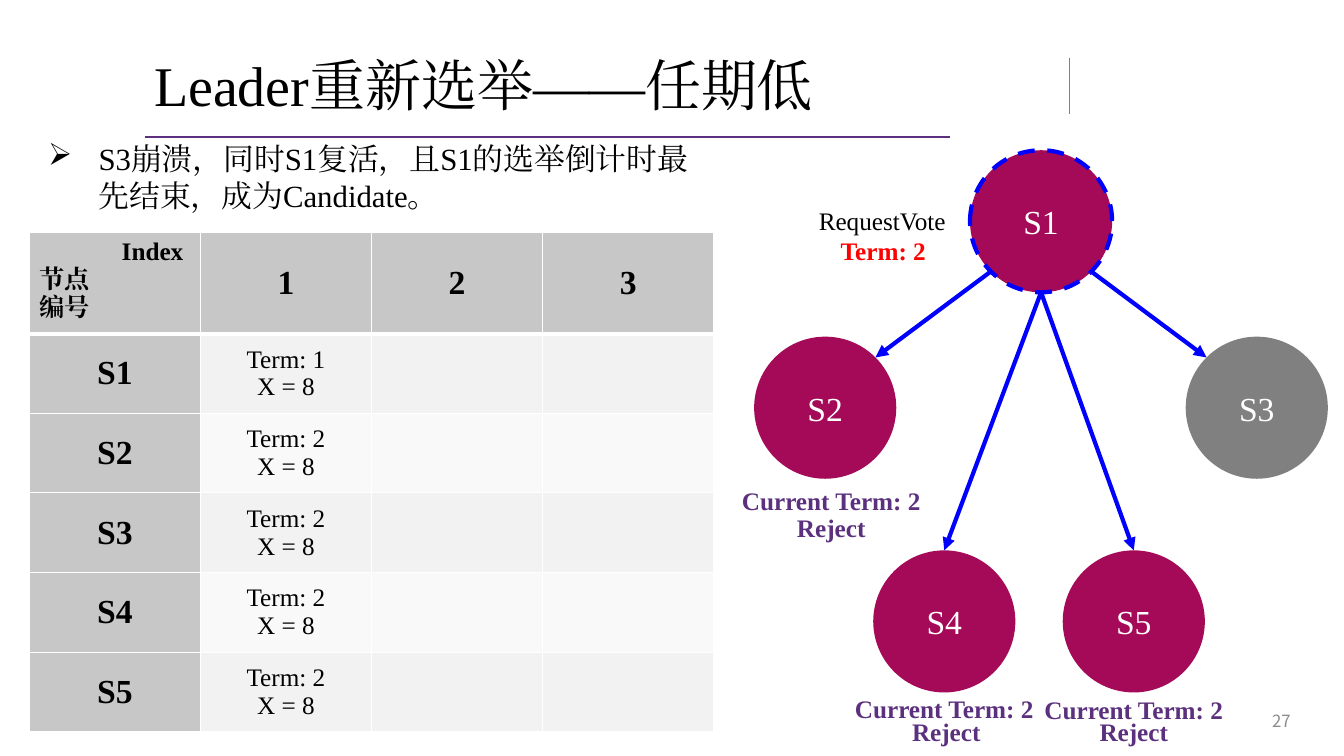
"""Build a slide on a re-election in which the candidate's term is too low."""
import dataclasses
import math

import lxml.etree
import pptx
import pptx.dml.color
import pptx.enum.dml
import pptx.enum.shapes
import pptx.enum.text
import pptx.oxml.ns
import pptx.util

Inches, Pt = pptx.util.Inches, pptx.util.Pt
Align, Anchor = pptx.enum.text.PP_ALIGN, pptx.enum.text.MSO_ANCHOR
qn = pptx.oxml.ns.qn


@dataclasses.dataclass(frozen=True)
class Theme:
    serif: str = "Times New Roman"
    sans: str = "Noto Sans CJK SC"
    black: str = "000000"
    white: str = "FFFFFF"
    purple: str = "5B307E"
    rule: str = "5C307E"
    red: str = "FF0000"
    blue: str = "0000FF"
    crimson: str = "A40A57"
    gray: str = "808080"
    number: str = "8C8C8C"
    header: str = "C7C7C7"
    bands: tuple = ("F2F2F2", "F9F9F9")
    title_size: int = 40
    large: int = 24
    body: int = 22
    small: int = 18
    number_size: int = 12


THEME = Theme()
WIDTH, HEIGHT = Inches(13.33), Inches(7.5)

TITLE = ("Leader重新选举——任期低", (10.73, 5.33, 67.44, 12.8))
BULLET = ("S3崩溃，同时S1复活，且S1的选举倒计时最先结束，成为Candidate。", (2.85, 17.87, 49.66, 11.2))
NUMBER = ("27", (74.27, 92.67, 22.51, 5.33))
RULES = [((10.8, 18.13), (70.67, 18.13), THEME.rule, 1.5),
         ((79.59, 7.73), (79.59, 15.07), THEME.gray, 1)]

TABLE_BOX = (2.18, 30.8, 50.94, 64.93)
HEADER_SHARE = 12.27
CORNER = ["Index", "节点", "编号"]
INDEXES = ["1", "2", "3"]
LOGS = {"S1": ["Term: 1", "X = 8"], "S2": ["Term: 2", "X = 8"], "S3": ["Term: 2", "X = 8"],
        "S4": ["Term: 2", "X = 8"], "S5": ["Term: 2", "X = 8"]}

DIAMETER = Inches(1.41)
CANDIDATE, CRASHED = "S1", "S3"
NODES = {"S1": (77.46, 29.27), "S2": (61.4, 53.93), "S3": (93.51, 53.93),
         "S4": (70.26, 82.2), "S5": (84.36, 82.2)}
REQUESTS = [("S2", 135, -45), ("S4", 90, -90), ("S5", 90, -90), ("S3", 45, -135)]
LABEL_SIZE = (14.93, 5.33)
LABELS = [("RequestVote", 65.64, 26.53, THEME.black, False),
          ("Term: 2", 65.72, 30.53, THEME.red, True)]
REPLIES = [("Current Term: 2", 61.85, 63.6), ("Current Term: 2", 70.26, 91.07),
           ("Current Term: 2", 84.36, 91.2), ("Reject", 61.85, 67.07),
           ("Reject", 70.41, 94.13), ("Reject", 84.36, 94.13)]
LABELS += [(*reply, THEME.purple, True) for reply in REPLIES]


def rgb(value):
    return pptx.dml.color.RGBColor.from_string(value)


def point(across, down):
    return round(WIDTH * across / 100), round(HEIGHT * down / 100)


def box(left, top, width, height):
    return *point(left, top), *point(width, height)


def write(frame, text, *, size, color=THEME.black, bold=False, font=THEME.serif,
          align=Align.LEFT, anchor=Anchor.TOP, wrap=True, spacing=None, bullet=None):
    frame.word_wrap = wrap
    frame.vertical_anchor = anchor
    lines = [text] if isinstance(text, str) else text
    for position, line in enumerate(lines):
        paragraph = frame.add_paragraph() if position else frame.paragraphs[0]
        paragraph.alignment = align
        if spacing:
            paragraph.line_spacing = spacing
        if bullet:
            properties = paragraph._p.get_or_add_pPr()
            properties.set("marL", str(Inches(0.5)))
            properties.set("indent", str(-Inches(0.5)))
            lxml.etree.SubElement(properties, qn("a:buChar")).set("char", bullet)
        run = paragraph.add_run()
        run.text = line
        run.font.size, run.font.bold, run.font.name = Pt(size), bold, font
        run.font.color.rgb = rgb(color)
        lxml.etree.SubElement(run._r.rPr, qn("a:ea")).set("typeface", font)


def add_text(slide, text, area, **formatting):
    write(slide.shapes.add_textbox(*box(*area)).text_frame, text, **formatting)


def add_line(slide, start, end, color, weight, arrow=False):
    connector = slide.shapes.add_connector(
        pptx.enum.shapes.MSO_CONNECTOR.STRAIGHT, *start, *end)
    connector.line.color.rgb = rgb(color)
    connector.line.width = Pt(weight)
    if arrow:
        lxml.etree.SubElement(connector.line._get_or_add_ln(), qn("a:tailEnd")).set("type", "triangle")
    lxml.etree.SubElement(connector._element.spPr, qn("a:effectLst"))
    return connector


def style_cell(cell, fill, bottom):
    cell.fill.solid()
    cell.fill.fore_color.rgb = rgb(fill)
    edges = [("a:lnL", 1), ("a:lnR", 1), ("a:lnT", 1), ("a:lnB", bottom)]
    for position, (edge, weight) in enumerate(edges):
        line = lxml.etree.Element(qn(edge), w=str(Pt(weight)))
        solid = lxml.etree.SubElement(line, qn("a:solidFill"))
        lxml.etree.SubElement(solid, qn("a:srgbClr")).set("val", THEME.white)
        cell._tc.get_or_add_tcPr().insert(position, line)


def add_log_table(slide):
    rows = [[CORNER, *INDEXES]]
    rows += [[name, log, *[""] * (len(INDEXES) - 1)] for name, log in LOGS.items()]
    table = slide.shapes.add_table(len(rows), len(rows[0]), *box(*TABLE_BOX)).table
    for column in table.columns:
        column.width = point(TABLE_BOX[2] / len(rows[0]), 0)[0]
    body_share = (TABLE_BOX[3] - HEADER_SHARE) / len(LOGS)
    for row, texts in enumerate(rows):
        table.rows[row].height = point(0, body_share if row else HEADER_SHARE)[1]
        for column, text in enumerate(texts):
            cell = table.cell(row, column)
            heading = row == 0 or column == 0
            fill = THEME.header if heading else THEME.bands[(row - 1) % 2]
            style_cell(cell, fill, 1 if row else 3)
            corner = text is CORNER
            if text:
                write(cell.text_frame, text, bold=heading,
                      size=THEME.large if heading and not corner else THEME.small,
                      align=Align.LEFT if corner else Align.CENTER)
            cell.vertical_anchor = Anchor.TOP if corner else Anchor.MIDDLE
    corner_cell = table.cell(0, 0)
    corner_cell.margin_right = Inches(0.17)
    corner_cell.text_frame.paragraphs[0].alignment = Align.RIGHT


def add_node(slide, name):
    left, top = (centre - DIAMETER // 2 for centre in point(*NODES[name]))
    shape = slide.shapes.add_shape(
        pptx.enum.shapes.MSO_SHAPE.OVAL, left, top, DIAMETER, DIAMETER)
    shape.shadow.inherit = False
    shape.fill.solid()
    shape.fill.fore_color.rgb = rgb(THEME.gray if name == CRASHED else THEME.crimson)
    if name == CANDIDATE:
        shape.line.color.rgb = rgb(THEME.blue)
        shape.line.width = Pt(3)
        shape.line.dash_style = pptx.enum.dml.MSO_LINE.DASH
    else:
        shape.line.fill.background()
    write(shape.text_frame, name, size=THEME.large, color=THEME.white,
          align=Align.CENTER, anchor=Anchor.MIDDLE)
    return shape


def rim(name, degrees):
    across, down = point(*NODES[name])
    angle = math.radians(degrees)
    return (round(across + DIAMETER / 2 * math.cos(angle)),
            round(down + DIAMETER / 2 * math.sin(angle)))


def main():
    presentation = pptx.Presentation()
    presentation.slide_width, presentation.slide_height = WIDTH, HEIGHT
    slide = presentation.slides.add_slide(presentation.slide_layouts[6])
    for start, end, color, weight in RULES:
        add_line(slide, point(*start), point(*end), color, weight)
    add_text(slide, *TITLE, size=THEME.title_size, anchor=Anchor.MIDDLE, spacing=0.9)
    add_text(slide, *NUMBER, size=THEME.number_size, color=THEME.number, font=THEME.sans,
             align=Align.RIGHT, anchor=Anchor.MIDDLE)
    add_log_table(slide)
    shapes = {name: add_node(slide, name) for name in NODES}
    add_text(slide, *BULLET, size=THEME.body, spacing=Pt(26.4), bullet="➢")
    for name, leave, arrive in REQUESTS:
        arrow = add_line(slide, rim(CANDIDATE, leave), rim(name, arrive), THEME.blue, 3, arrow=True)
        if arrive == -90:
            arrow.end_connect(shapes[name], 0)
    for text, centre, top, color, bold in LABELS:
        add_text(slide, text, (centre - LABEL_SIZE[0] / 2, top, *LABEL_SIZE), size=THEME.small,
                 color=color, bold=bold, align=Align.CENTER, wrap=False)
    presentation.save("out.pptx")


if __name__ == "__main__":
    main()
